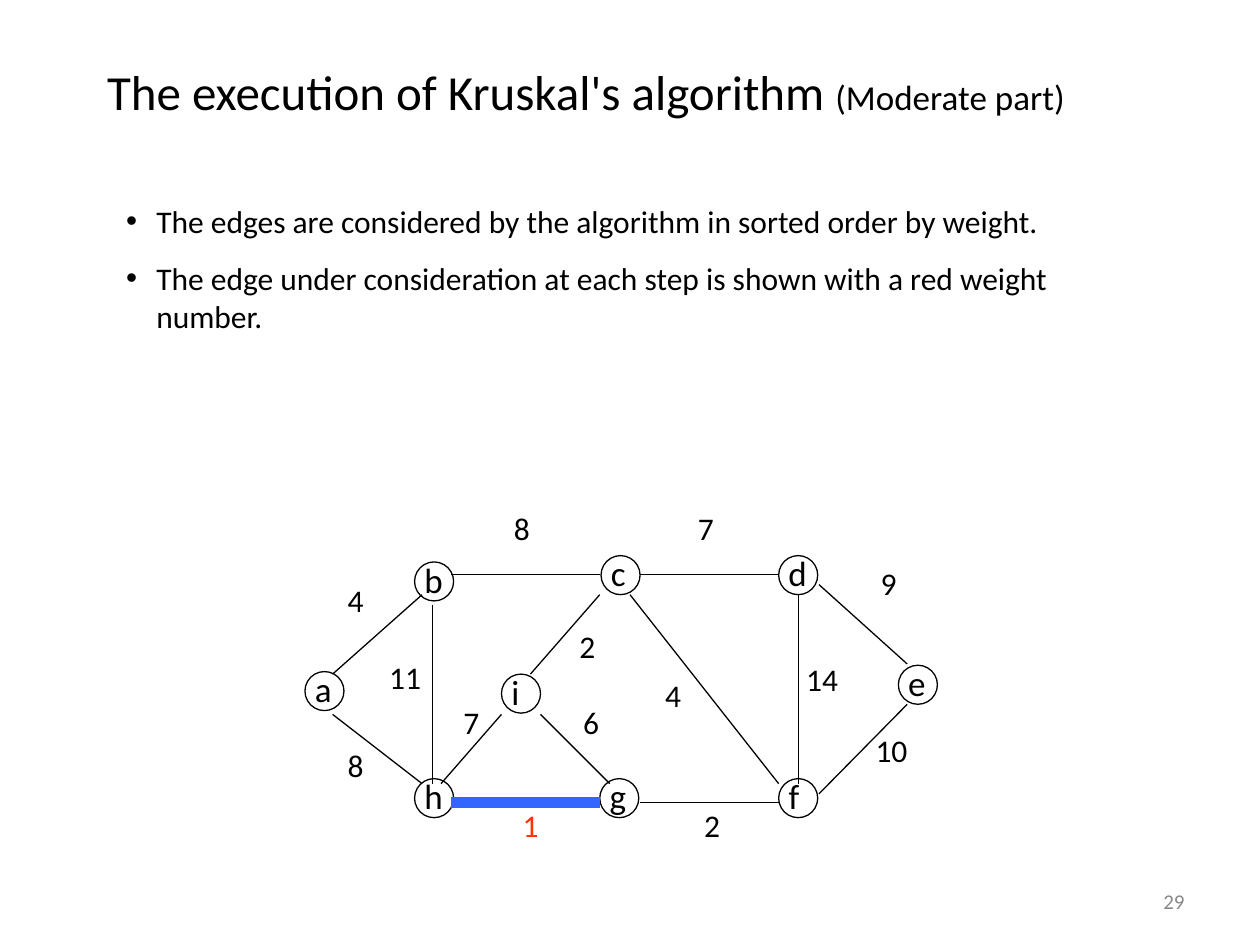
"""Build the slide showing the first step of Kruskal's algorithm on a weighted graph."""
from dataclasses import dataclass
from typing import Any

from lxml import etree
from pptx import Presentation
from pptx import util as u
from pptx.dml import color
from pptx.enum import shapes, text
from pptx.oxml import ns


@dataclass(frozen=True)
class Theme:
    font: str = "Calibri"
    ink: str = "000000"
    muted: str = "898989"
    chosen: str = "3366FF"
    highlight: str = "FF3300"
    title_size: float = 28
    node_size: float = 20
    body_size: float = 18
    number_size: float = 12
    thin: float = 0.75
    thick: float = 6


@dataclass(frozen=True)
class Node:
    letter: str
    left: float
    top: float
    label_width: float = 0.34


@dataclass(frozen=True)
class Edge:
    start: tuple[float, float]
    end: tuple[float, float]
    weight: int
    label: tuple[float, float]
    considered: bool = False


THEME = Theme()
DIAMETER = 0.31

NODES = [
    Node("a", 2.42, 5.33, 0.33),
    Node("b", 3.29, 4.46),
    Node("h", 3.29, 6.18),
    Node("c", 4.77, 4.41, 0.32),
    Node("d", 6.18, 4.41),
    Node("e", 7.13, 5.28),
    Node("f", 6.18, 6.18, 0.28),
    Node("g", 4.76, 6.18, 0.33),
    Node("i", 3.98, 5.35, 0.28),
]

EDGES = [
    Edge((2.64, 5.35), (3.35, 4.72), 4, (2.66, 4.56)),
    Edge((2.64, 5.67), (3.35, 6.22), 8, (2.66, 5.87)),
    Edge((3.43, 4.8), (3.43, 6.22), 11, (2.99, 5.17)),
    Edge((3.58, 4.56), (4.76, 4.56), 8, (3.98, 3.99)),
    Edge((3.58, 6.37), (4.76, 6.37), 1, (4.05, 6.35), considered=True),
    Edge((5.08, 6.37), (6.18, 6.37), 2, (5.49, 6.35)),
    Edge((5, 4.72), (6.18, 6.22), 4, (5.18, 5.32)),
    Edge((5.08, 4.56), (6.18, 4.56), 7, (5.44, 3.99)),
    Edge((6.34, 4.72), (6.34, 6.22), 14, (6.3, 5.19)),
    Edge((6.5, 4.64), (7.2, 5.27), 9, (6.89, 4.43)),
    Edge((6.5, 6.3), (7.2, 5.59), 10, (6.85, 5.75)),
    Edge((4.29, 5.67), (4.84, 6.22), 6, (4.53, 5.53)),
    Edge((3.5, 6.22), (3.98, 5.67), 7, (3.58, 5.53)),
    Edge((4.21, 5.35), (4.76, 4.72), 2, (4.5, 4.93)),
]

BULLETS = [
    "The edges are considered by the algorithm in sorted order by weight.",
    "The edge under consideration at each step is shown with a red weight number.",
]


def apply(target: Any, formats: dict[str, Any]) -> None:
    """Set every attribute named in the format values."""
    for name, value in formats.items():
        setattr(target, name, value)


def box(left: float, top: float, width: float, height: float) -> dict[str, int]:
    """Return position and size as shape attributes."""
    return dict(left=u.Inches(left), top=u.Inches(top),
                width=u.Inches(width), height=u.Inches(height))


def style(font: Any, size: float, ink: str = THEME.ink) -> None:
    """Give a font its face, size and colour."""
    apply(font, dict(name=THEME.font, size=u.Pt(size)))
    font.color.rgb = color.RGBColor.from_string(ink)


def add_label(parent: Any, words: str, place: dict[str, int], size: float,
              ink: str = THEME.ink, wrap: bool = False) -> Any:
    """Add a one-line text box and return it."""
    label = parent.add_textbox(**place)
    label.text_frame.word_wrap = wrap
    label.text_frame.text = words
    style(label.text_frame.paragraphs[0].runs[0].font, size, ink)
    return label


def draw_node(parent: Any, node: Node) -> None:
    """Draw a lettered circle."""
    place = box(node.left - 0.02, node.top - 0.08, node.label_width, 0.44)
    add_label(parent, node.letter, place, THEME.node_size)
    circle = parent.add_shape(shapes.MSO_SHAPE.OVAL,
                              **box(node.left, node.top, DIAMETER, DIAMETER))
    circle.shadow.inherit = False
    circle.fill.background()
    circle.line.color.rgb = color.RGBColor.from_string(THEME.ink)
    circle.line.width = u.Pt(THEME.thin)


def draw_edge(parent: Any, edge: Edge) -> None:
    """Draw a line between two nodes."""
    points = [u.Inches(value) for value in (*edge.start, *edge.end)]
    line = parent.add_connector(shapes.MSO_CONNECTOR.STRAIGHT, *points)
    ink, width = ((THEME.chosen, THEME.thick) if edge.considered
                  else (THEME.ink, THEME.thin))
    line.line.color.rgb = color.RGBColor.from_string(ink)
    line.line.width = u.Pt(width)
    etree.SubElement(line._element.spPr, ns.qn("a:effectLst"))


def draw_weight(parent: Any, edge: Edge) -> None:
    """Write the weight beside its edge."""
    words = str(edge.weight)
    place = box(*edge.label, 0.32 if len(words) == 1 else 0.45, 0.4)
    ink = THEME.highlight if edge.considered else THEME.ink
    add_label(parent, words, place, THEME.body_size, ink)


def fill_title(title: Any) -> None:
    """Place and write the title with its smaller remark."""
    apply(title, box(0.75, 0.44, 8.35, 0.57))
    apply(title.text_frame, dict(word_wrap=True, auto_size=text.MSO_AUTO_SIZE.NONE,
                                 vertical_anchor=text.MSO_ANCHOR.TOP))
    paragraph = title.text_frame.paragraphs[0]
    paragraph.alignment = text.PP_ALIGN.LEFT
    for words, size in (("The execution of Kruskal's algorithm ", THEME.title_size),
                        ("(Moderate part)", THEME.node_size)):
        run = paragraph.add_run()
        run.text = words
        style(run.font, size)


def fill_body(body: Any) -> None:
    """Place and write the bulleted list."""
    apply(body, box(0.9, 1.55, 7.8, 1.16))
    frame = body.text_frame
    apply(frame, dict(word_wrap=True, auto_size=text.MSO_AUTO_SIZE.NONE))
    frame.text = "\n".join(BULLETS)
    for index, paragraph in enumerate(frame.paragraphs):
        properties = paragraph._p.get_or_add_pPr()
        properties.set("marL", str(u.Inches(0.24)))
        properties.set("indent", str(-u.Inches(0.24)))
        etree.SubElement(properties, ns.qn("a:buChar")).set("char", "•")
        paragraph.space_before = u.Pt(11.2 if index else 0)
        style(paragraph.runs[0].font, THEME.body_size)


def main() -> None:
    """Build and save the presentation."""
    presentation = Presentation()
    apply(presentation, dict(slide_width=u.Inches(10), slide_height=u.Inches(7.5)))
    slide = presentation.slides.add_slide(presentation.slide_layouts[1])
    fill_title(slide.shapes.title)
    fill_body(slide.placeholders[1])

    graph = slide.shapes.add_group_shape().shapes
    for draw, items in ((draw_node, NODES), (draw_edge, EDGES), (draw_weight, EDGES)):
        for item in items:
            draw(graph, item)

    number = add_label(slide.shapes, "29", box(7.17, 6.95, 2.33, 0.4),
                       THEME.number_size, THEME.muted, wrap=True)
    number.text_frame.vertical_anchor = text.MSO_ANCHOR.MIDDLE
    number.text_frame.paragraphs[0].alignment = text.PP_ALIGN.RIGHT
    presentation.save("out.pptx")


if __name__ == "__main__":
    main()
